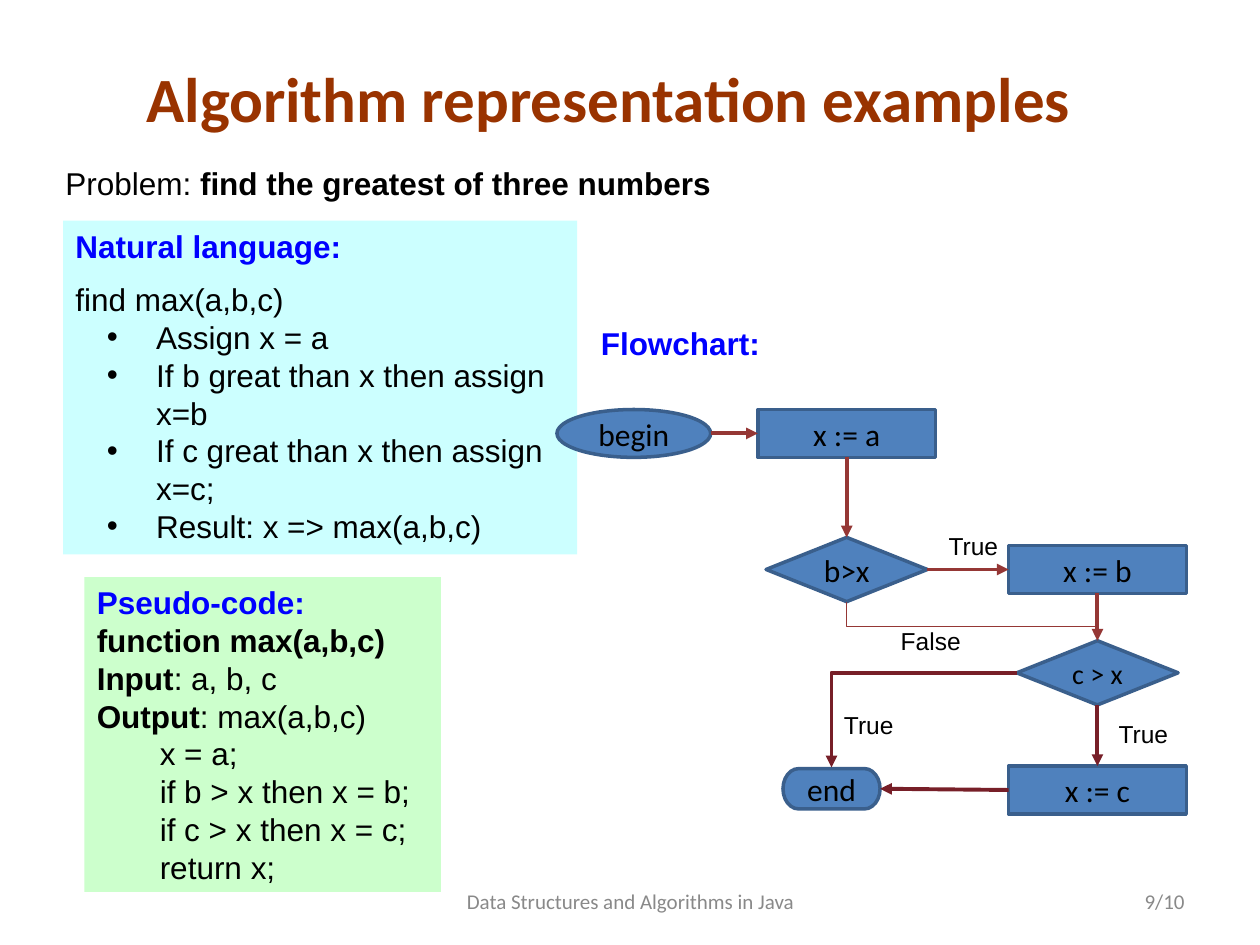
from dataclasses import dataclass

from lxml import etree
from pptx import Presentation
from pptx import util as u
from pptx.dml.color import RGBColor
from pptx.enum import shapes, text
from pptx.oxml import ns


@dataclass(frozen=True)
class Theme:
    """Colours, fonts and type sizes of the slide."""
    title: str = "993300"
    heading: str = "0000FF"
    ink: str = "000000"
    footer: str = "898989"
    language_fill: str = "CCFFFF"
    code_fill: str = "CCFFCC"
    node_fill: str = "4F81BD"
    node_line: str = "3A5F8C"
    flow: str = "953735"
    flow_dark: str = "771F28"
    sans: str = "Arial"
    chart: str = "Calibri"
    title_size: int = 36
    body_size: int = 18
    condition_size: int = 16
    label_size: int = 14
    footer_size: int = 12


@dataclass(frozen=True)
class Para:
    """A paragraph as bold text between an optional lead and plain text."""
    bold: str = ""
    plain: str = ""
    lead: str = ""
    color: str = Theme.ink
    indent: float = 0
    hang: float = 0
    before: float = 0


class Slide:
    """Holds the theme and the current slide and draws its elements."""

    def __init__(self, prs, theme):
        self.t = theme
        self.s = prs.slides.add_slide(prs.slide_layouts[5])

    def font(self, r, size, color, name, bold=False):
        """Format one run."""
        r.font.size = u.Pt(size)
        r.font.name = name
        r.font.bold = bold
        r.font.color.rgb = RGBColor.from_string(color)

    def caption(self, sp, words, size, color, name, align, bold=False):
        """Set a single line of text in a shape."""
        tf = sp.text_frame
        tf.text = words
        tf.vertical_anchor = text.MSO_ANCHOR.MIDDLE
        p = tf.paragraphs[0]
        p.alignment = align
        self.font(p.runs[0], size, color, name, bold)

    def title(self, words, *box):
        """Place and format the title placeholder."""
        sp = self.s.shapes.title
        sp.left, sp.top, sp.width, sp.height = map(u.Inches, box)
        self.caption(sp, words, self.t.title_size, self.t.title, self.t.chart,
                     text.PP_ALIGN.CENTER, True)

    def footer(self, words, align, *box):
        """Add a footer text."""
        sp = self.s.shapes.add_textbox(*map(u.Inches, box))
        sp.text_frame.word_wrap = True
        self.caption(sp, words, self.t.footer_size, self.t.footer, self.t.chart, align)

    def label(self, words, *box):
        """Add a branch label."""
        sp = self.s.shapes.add_textbox(*map(u.Inches, box))
        sp.text_frame.word_wrap = False
        self.caption(sp, words, self.t.label_size, self.t.ink, self.t.sans,
                     text.PP_ALIGN.LEFT)

    def panel(self, paras, *box, fill=None):
        """Add a text panel with an optional fill."""
        sp = self.s.shapes.add_textbox(*map(u.Inches, box))
        if fill:
            sp.fill.solid()
            sp.fill.fore_color.rgb = RGBColor.from_string(fill)
        tf = sp.text_frame
        tf.word_wrap = True
        for i, para in enumerate(paras):
            p = tf.add_paragraph() if i else tf.paragraphs[0]
            p.space_before = u.Pt(para.before)
            pPr = p._p.get_or_add_pPr()
            pPr.set("marL", str(u.Inches(para.indent)))
            pPr.set("indent", str(-u.Inches(para.hang)))
            if para.hang:
                etree.SubElement(pPr, ns.qn("a:buFont"), typeface=self.t.sans)
                etree.SubElement(pPr, ns.qn("a:buChar"), char="•")
            for words, bold in ((para.lead, False), (para.bold, True), (para.plain, False)):
                if words:
                    r = p.add_run()
                    r.text = words
                    self.font(r, self.t.body_size, para.color, self.t.sans, bold)

    def node(self, kind, words, cx, cy, w, h, size=None):
        """Add a flowchart node around its centre."""
        box = map(u.Inches, (cx - w / 2, cy - h / 2, w, h))
        sp = self.s.shapes.add_shape(kind, *box)
        sp.shadow.inherit = False
        sp.fill.solid()
        sp.fill.fore_color.rgb = RGBColor.from_string(self.t.node_fill)
        sp.line.color.rgb = RGBColor.from_string(self.t.node_line)
        sp.line.width = u.Pt(2)
        tf = sp.text_frame
        tf.word_wrap = False
        tf.margin_top = tf.margin_bottom = 0
        self.caption(sp, words, size or self.t.body_size, self.t.ink, self.t.chart,
                     text.PP_ALIGN.CENTER)
        return sp

    def line(self, points, color, width=2.25, arrow=True, elbow=False):
        """Add a straight or one-bend connector between two points."""
        kind = shapes.MSO_CONNECTOR.ELBOW if elbow else shapes.MSO_CONNECTOR.STRAIGHT
        c = self.s.shapes.add_connector(kind, *map(u.Inches, points))
        spPr = c._element.spPr
        if elbow:
            spPr.find(ns.qn("a:prstGeom")).set("prst", "bentConnector2")
        c.line.color.rgb = RGBColor.from_string(color)
        c.line.width = u.Pt(width)
        if arrow:
            etree.SubElement(spPr.find(ns.qn("a:ln")), ns.qn("a:tailEnd"), type="triangle")
        etree.SubElement(spPr, ns.qn("a:effectLst"))
        return c

    def link(self, start, start_site, end, end_site, color):
        """Join two nodes with an arrow."""
        c = self.line((0, 0, 0, 0), color)
        c.begin_connect(start, start_site)
        c.end_connect(end, end_site)


def main():
    """Build the slide."""
    prs = Presentation()
    prs.slide_width, prs.slide_height = u.Inches(10), u.Inches(7.5)
    t = Theme()
    s = Slide(prs, t)

    s.footer("Data Structures and Algorithms in Java", text.PP_ALIGN.CENTER,
             3.17, 6.95, 3.67, 0.4)
    s.footer("9/10", text.PP_ALIGN.RIGHT, 7.17, 6.95, 2.33, 0.4)
    s.title("Algorithm representation examples", 0.33, 0.42, 9, 0.7)

    steps = ("Assign x = a", "If b great than x then assign x=b",
             "If c great than x then assign x=c;", "Result: x => max(a,b,c)")
    s.panel([Para("Natural language:", color=t.heading),
             Para(plain="find max(a,b,c)", before=9),
             *(Para(plain=step, indent=0.64, hang=0.39) for step in steps)],
            0.5, 1.75, 4.08, 2.65, fill=t.language_fill)

    code = ("x = a;", "if b > x then x = b;", "if c > x then x = c;", "return x;")
    s.panel([Para("Pseudo-code:", color=t.heading), Para("function max(a,b,c)"),
             Para("Input", ": a, b, c"), Para("Output", ": max(a,b,c)"),
             *(Para(plain=row, indent=0.5) for row in code)],
            0.67, 4.58, 2.83, 2.5, fill=t.code_fill)

    kinds = shapes.MSO_SHAPE
    process, decision = kinds.FLOWCHART_PROCESS, kinds.FLOWCHART_DECISION
    left, right = 6.72, 8.71
    box, diamond = (1.41, 0.38), (1.28, 0.51)
    set_a = s.node(process, "x := a", left, 3.44, *box)
    test_b = s.node(decision, "b>x", left, 4.52, *diamond)
    set_b = s.node(process, "x := b", right, 4.52, *box)
    test_c = s.node(decision, "c > x", right, 5.34, *diamond, t.condition_size)
    set_c = s.node(process, "x := c", right, 6.27, *box)
    end = s.node(kinds.FLOWCHART_TERMINATOR, "end", 6.6, 6.26, 0.77, 0.32)
    s.node(kinds.OVAL, "begin", 5.03, 3.44, 1.22, 0.38)

    s.line((5.64, 3.44, 6.02, 3.44), t.flow).end_connect(set_a, 1)
    s.link(set_a, 2, test_b, 0, t.flow)
    s.link(test_b, 3, set_b, 1, t.flow)
    s.link(set_b, 2, test_c, 0, t.flow)
    s.link(test_c, 2, set_c, 0, t.flow_dark)
    s.link(set_c, 1, end, 3, t.flow_dark)
    s.line((8.07, 5.34, 6.6, 6.09), t.flow_dark, elbow=True)
    s.line((right, 4.97, left, 4.78), t.flow, 0.75, arrow=False, elbow=True)

    for x, y in ((7.43, 4.17), (8.78, 5.66), (6.6, 5.59)):
        s.label("True", x, y, 0.6, 0.33)
    s.label("False", 7.05, 4.92, 0.68, 0.33)
    s.panel([Para("Flowchart:", color=t.heading)], 4.67, 2.52, 1.92, 0.4)
    s.panel([Para("find the greatest of three numbers", lead="Problem: ")],
            0.42, 1.25, 6, 0.4)
    prs.save("out.pptx")


if __name__ == "__main__":
    main()
